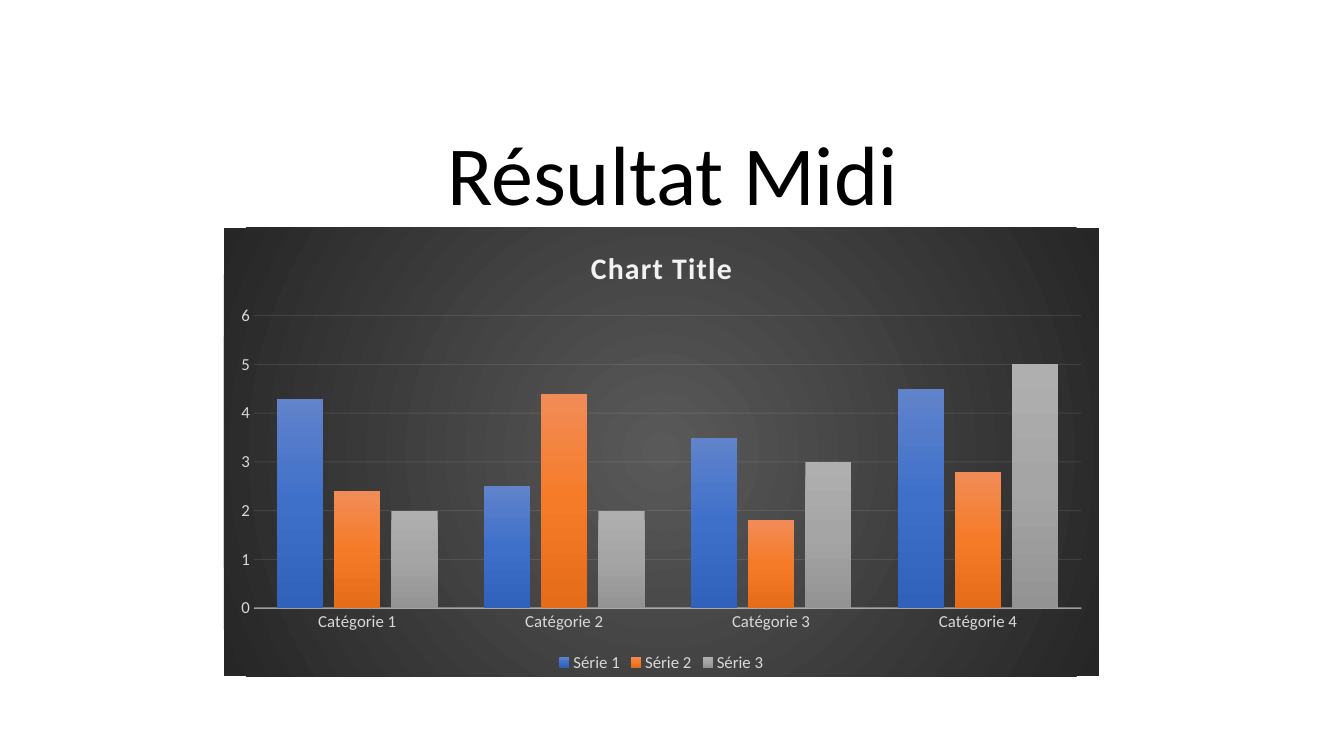
from lxml.etree import SubElement
from pptx import Presentation
from pptx.chart.data import CategoryChartData
from pptx.dml.color import RGBColor
from pptx.enum.chart import XL_CHART_TYPE, XL_LEGEND_POSITION, XL_TICK_MARK
from pptx.enum.text import MSO_ANCHOR, PP_ALIGN
from pptx.oxml.ns import qn
from pptx.util import Inches, Pt

FONT = "Calibri"
COLORS = {"title": "000000", "light": "F2F2F2", "label": "D9D9D9"}
BACKDROP = {0: "595959", 100: "262626"}
CATEGORIES = [f"Catégorie {n}" for n in range(1, 5)]
SERIES = {
    "Série 1": ((4.3, 2.5, 3.5, 4.5), {0: "6183CB", 50: "3E70CA", 100: "3062BB"}),
    "Série 2": ((2.4, 4.4, 1.8, 2.8), {0: "F18C57", 50: "F67B28", 100: "E56C19"}),
    "Série 3": ((2, 2, 3, 5), {0: "AFAFAF", 50: "A5A5A5", 100: "939393"}),
}


def style_font(font, size, color, bold=False):
    font.name = FONT
    font.size = Pt(size)
    font.bold = bold
    font.color.rgb = RGBColor.from_string(COLORS[color])


def style_line(line, width, opacity):
    line.width = Pt(width)
    line.fill.solid()
    line.fill.fore_color.rgb = RGBColor.from_string(COLORS["light"])
    color = line._get_or_add_ln().find(".//" + qn("a:srgbClr"))
    SubElement(color, qn("a:alpha"), val=str(opacity * 1000))


def add_gradient(sp_pr, stops, radial=False):
    grad = SubElement(sp_pr, qn("a:gradFill"))
    gs_list = SubElement(grad, qn("a:gsLst"))
    for pos, color in stops.items():
        gs = SubElement(gs_list, qn("a:gs"), pos=str(pos * 1000))
        SubElement(gs, qn("a:srgbClr"), val=color)
    if radial:
        circle = SubElement(grad, qn("a:path"), path="circle")
        SubElement(circle, qn("a:fillToRect"),
                   dict.fromkeys("ltrb", "50000"))
    else:
        SubElement(grad, qn("a:lin"), ang="5400000", scaled="0")


def add_title(slide, text, box):
    tf = slide.shapes.add_textbox(*map(Inches, box)).text_frame
    tf.word_wrap = True
    tf.vertical_anchor = MSO_ANCHOR.BOTTOM
    p = tf.paragraphs[0]
    p.text = text
    p.alignment = PP_ALIGN.CENTER
    p.line_spacing = 0.9
    style_font(p.runs[0].font, 60, "title")


def style_axes(chart):
    for axis in (chart.category_axis, chart.value_axis):
        axis.major_tick_mark = axis.minor_tick_mark = XL_TICK_MARK.NONE
        style_font(axis.tick_labels.font, 12, "label")
    style_line(chart.category_axis.format.line, 1, 54)
    values = chart.value_axis
    values.minimum_scale, values.maximum_scale, values.major_unit = 0, 6, 1
    values.format.line.fill.background()
    style_line(values.major_gridlines.format.line, 0.75, 10)


def style_chart_title(chart, text):
    tf = chart.chart_title.text_frame
    tf.text = text
    r = tf.paragraphs[0].runs[0]
    style_font(r.font, 21.3, "light", bold=True)
    r.font._element.set("spc", "100")
    chart.chart_title.include_in_layout = False


def style_legend(chart):
    chart.has_legend = True
    chart.legend.position = XL_LEGEND_POSITION.BOTTOM
    chart.legend.include_in_layout = False
    style_font(chart.legend.font, 12, "label")


def add_column_chart(slide, box):
    data = CategoryChartData()
    data.categories = CATEGORIES
    for name, (values, _) in SERIES.items():
        data.add_series(name, values)
    chart = slide.shapes.add_chart(
        XL_CHART_TYPE.COLUMN_CLUSTERED, *map(Inches, box), data).chart
    style_font(chart.font, 10, "title")
    plot = chart.plots[0]
    plot.vary_by_categories = False
    plot.gap_width, plot.overlap = 100, -24
    for series in plot.series:
        add_gradient(series._element.get_or_add_spPr(), SERIES[series.name][1])
    style_axes(chart)
    style_chart_title(chart, "Chart Title")
    style_legend(chart)
    space = chart._chartSpace
    sp_pr = SubElement(space, qn("c:spPr"))
    space.find(qn("c:chart")).addnext(sp_pr)
    add_gradient(sp_pr, BACKDROP, radial=True)
    SubElement(SubElement(sp_pr, qn("a:ln")), qn("a:noFill"))


def main():
    prs = Presentation()
    prs.slide_width, prs.slide_height = Inches(13.33), Inches(7.5)
    slide = prs.slides.add_slide(prs.slide_layouts[6])
    add_title(slide, "Résultat Midi", (1.67, 1.23, 10, 1.04))
    add_column_chart(slide, (2.22, 2.26, 8.68, 4.45))
    prs.save("out.pptx")


if __name__ == "__main__":
    main()
